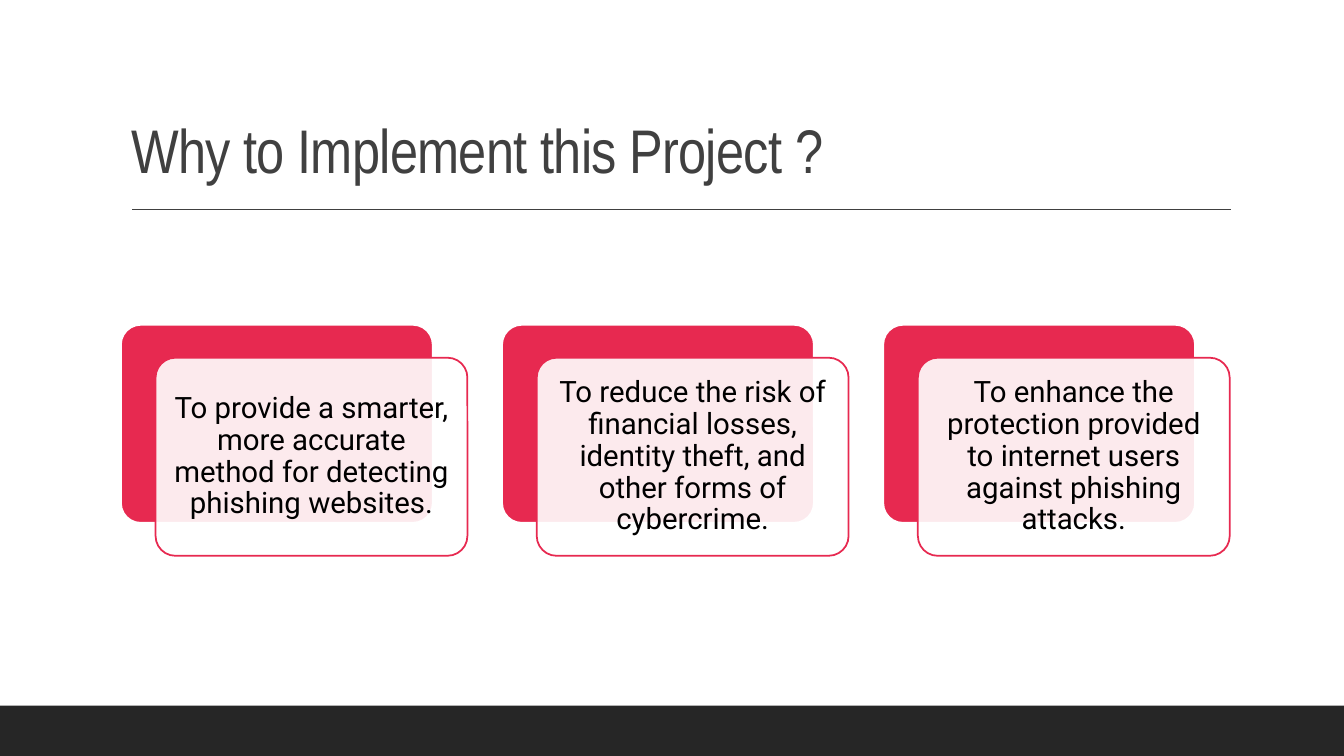
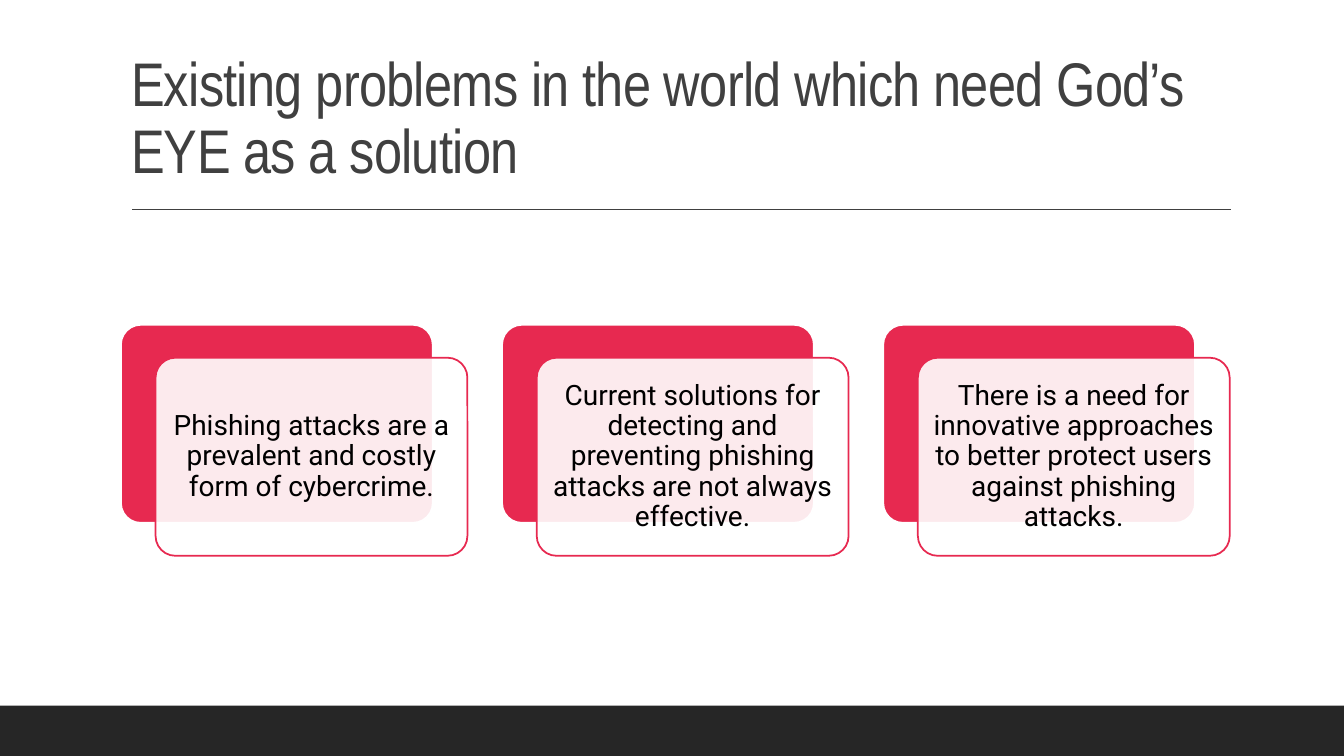
from lxml.etree import SubElement
from pptx import Presentation
from pptx.dml.color import RGBColor
from pptx.enum.shapes import MSO_CONNECTOR, MSO_SHAPE
from pptx.enum.text import MSO_ANCHOR, MSO_AUTO_SIZE, PP_ALIGN
from pptx.oxml.ns import qn
from pptx.util import Pt

WIDE, HIGH = 960, 540
BAND = 36
HEAD = (86.4, 22.3, 792, 114.5)
BODY = (86.4, 232, 792, 165)
RULE = (94.5, 149.8, 879)
PINK, DARK, GREY, WHITE, BLACK = "E72950", "262626", "404040", "FFFFFF", "000000"

SLIDES = [
    ("Why to Implement this Project ?", 21, [
        "To provide a smarter, more accurate method for detecting phishing websites.",
        "To reduce the risk of financial losses, identity theft, and other forms of cybercrime.",
        "To enhance the protection provided to internet users against phishing attacks.",
    ]),
    ("Existing problems in the world which need God’s EYE as a solution", 20, [
        "Phishing attacks are a prevalent and costly form of cybercrime.",
        "Current solutions for detecting and preventing phishing attacks are not always effective.",
        "There is a need for innovative approaches to better protect users against phishing attacks.",
    ]),
]


def color(code):
    return RGBColor.from_string(code)


def write(shape, text, size, font, ink, align, anchor, pad=None, track=None):
    frame = shape.text_frame
    frame.word_wrap = True
    frame.auto_size = MSO_AUTO_SIZE.NONE
    frame.vertical_anchor = anchor
    if pad is not None:
        frame.margin_left = frame.margin_right = Pt(pad)
        frame.margin_top = frame.margin_bottom = Pt(pad)
    para = frame.paragraphs[0]
    para.alignment = align
    para.line_spacing = 0.9
    run = para.add_run()
    run.text = text
    run.font.size = Pt(size)
    run.font.name = font
    run.font.color.rgb = color(ink)
    if track is not None:
        run.font._element.set("spc", str(round(track * 100)))


def block(slide, kind, box, fill, line=None, clear=None):
    """Add a filled shape; clear is the fill's opacity in percent."""
    shape = slide.shapes.add_shape(kind, *map(Pt, box))
    shape.shadow.inherit = False
    shape.fill.solid()
    shape.fill.fore_color.rgb = color(fill)
    if clear is not None:
        tint = shape.fill._xPr.find(qn("a:solidFill"))[0]
        SubElement(tint, qn("a:alpha"), val=str(clear * 1000))
    if line:
        shape.line.color.rgb = color(line)
        shape.line.width = Pt(1.25)
    else:
        shape.line.fill.background()
    return shape


def frame(slide, title):
    """Place the footer band, the rule and the title."""
    block(slide, MSO_SHAPE.RECTANGLE, (0, HIGH - BAND, WIDE, BAND), DARK)
    left, top, right = RULE
    rule = slide.shapes.add_connector(
        MSO_CONNECTOR.STRAIGHT, Pt(left), Pt(top), Pt(right), Pt(top))
    rule.line.color.rgb = color(GREY)
    rule.line.width = Pt(1)
    SubElement(rule._element.spPr, qn("a:effectLst"))
    head = slide.shapes.title
    head.left, head.top, head.width, head.height = map(Pt, HEAD)
    write(head, title, 44, "Arial Narrow", GREY, PP_ALIGN.LEFT,
          MSO_ANCHOR.BOTTOM, track=-0.5)


def card(slide, box, step, text, size):
    """Place a pink plate with a see-through text plate set off from it."""
    left, top, width, height = box
    drop = step * 0.95
    back = block(slide, MSO_SHAPE.ROUNDED_RECTANGLE, box, PINK, WHITE)
    front = block(slide, MSO_SHAPE.ROUNDED_RECTANGLE,
                  (left + step, top + drop, width, height), WHITE, PINK, 90)
    for plate in (back, front):
        plate.adjustments[0] = 0.1
    write(front, text, size, "Roboto", BLACK, PP_ALIGN.CENTER,
          MSO_ANCHOR.MIDDLE, pad=size * 0.3)


def cards(slide, box, texts, size):
    """Fill the box with a row of cards; offset and gap are a ninth of a plate."""
    left, top, width, height = box
    count = len(texts)
    step = width / (11 * count - 1)
    plate = 9 * step
    for i, text in enumerate(texts):
        card(slide, (left + i * 11 * step, top, plate, height - step * 0.95),
             step, text, size)


def main():
    deck = Presentation()
    deck.slide_width, deck.slide_height = Pt(WIDE), Pt(HIGH)
    for title, size, texts in SLIDES:
        slide = deck.slides.add_slide(deck.slide_layouts[5])
        frame(slide, title)
        cards(slide, BODY, texts, size)
    deck.save("out.pptx")


if __name__ == "__main__":
    main()
